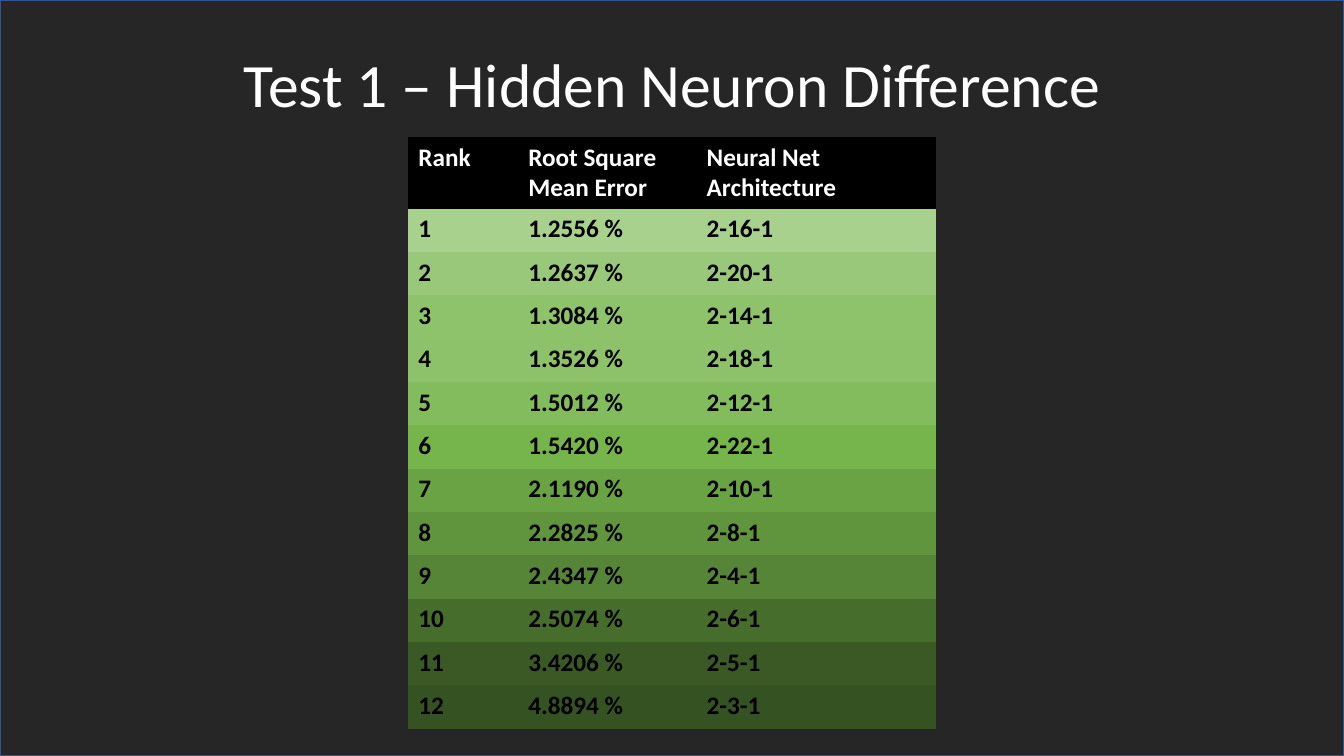
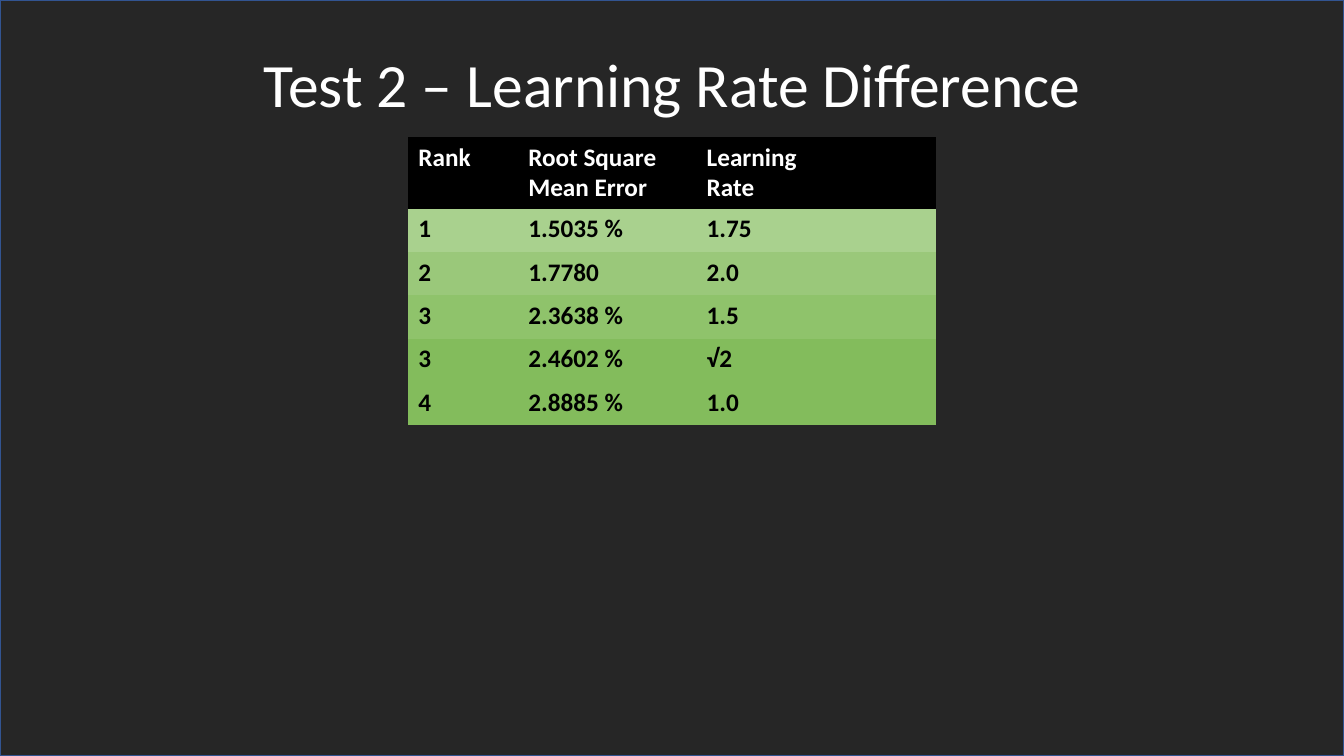
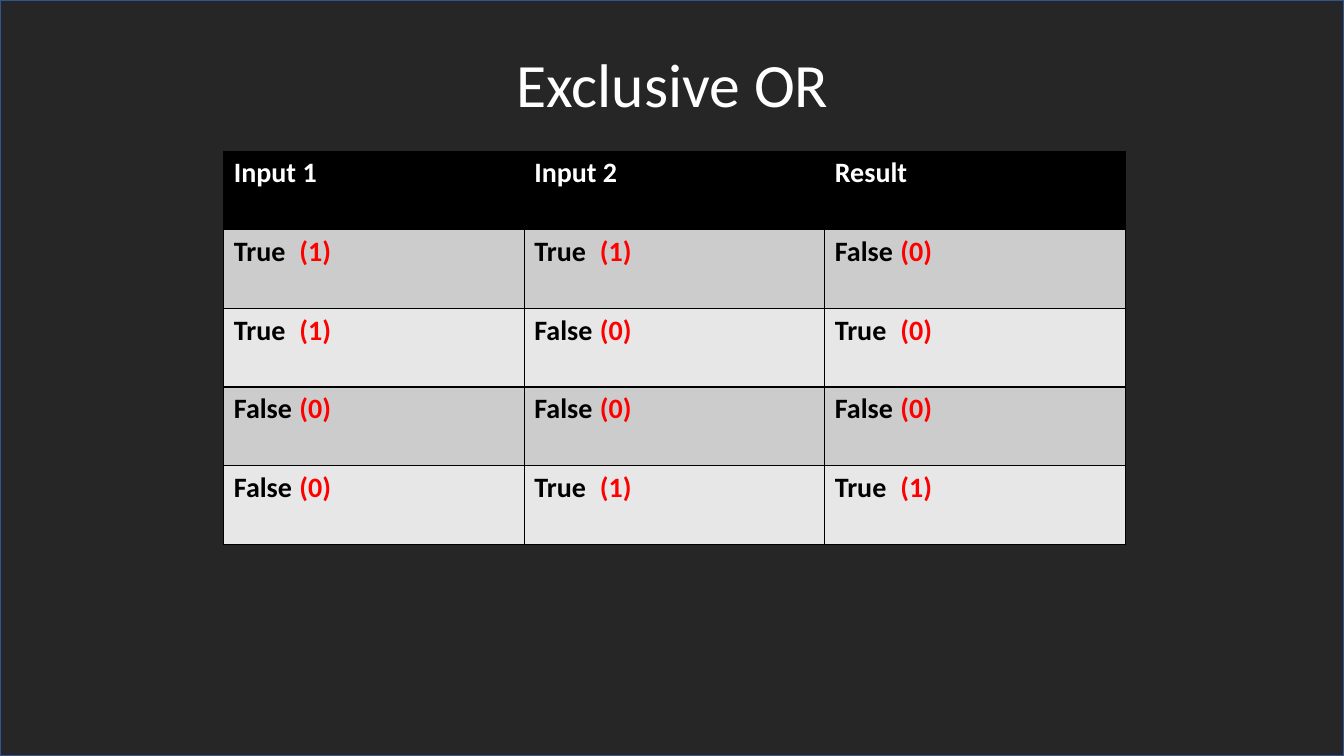
from lxml.etree import SubElement
from pptx import Presentation
from pptx.dml.color import RGBColor
from pptx.enum.shapes import MSO_SHAPE
from pptx.enum.text import MSO_ANCHOR, PP_ALIGN
from pptx.oxml.ns import qn
from pptx.util import Inches, Pt

FONT = "Calibri"
BLACK = RGBColor(0x00, 0x00, 0x00)
WHITE = RGBColor(0xFF, 0xFF, 0xFF)
RED = RGBColor(0xFF, 0x00, 0x00)
CHARCOAL = RGBColor(0x26, 0x26, 0x26)
EDGE_BLUE = RGBColor(0x32, 0x54, 0x91)
BANDS = [RGBColor(0xCC, 0xCC, 0xCC), RGBColor(0xE7, 0xE7, 0xE7)]
GREENS = [RGBColor.from_string(c) for c in (
    "A9D18E", "9AC87A", "8FC36B", "8EC26A", "83BC5C", "76B54B",
    "6AA343", "61953D", "578537", "476D2D", "3A5925", "355222")]

NO_STYLE = "{2D5ABB26-0587-4C30-8999-92F81FD0307C}"
SLIDE_W, SLIDE_H = 13.33, 7.5
TITLE_BOX = (0.92, 0.14, 11.5, 1.45)
RANK_AT = (4.05, 1.36)
RANK_COLS = (1.09, 1.77, 2.37)
RANK_HEAD_H, RANK_ROW_H = 0.71, 0.43
TRUTH_BOX = (2.22, 1.5, 8.94, 3.9)
DIGIT_TAB = 0.65

prs = Presentation()
prs.slide_width, prs.slide_height = Inches(SLIDE_W), Inches(SLIDE_H)


def style_run(r, size, color, bold=False):
    r.font.name, r.font.size, r.font.bold = FONT, Pt(size), bold
    r.font.color.rgb = color


def base_slide(title):
    """Dark backdrop and centred title, shared by every slide."""
    slide = prs.slides.add_slide(prs.slide_layouts[6])
    sp = slide.shapes.add_shape(MSO_SHAPE.RECTANGLE, 0, 0,
                                prs.slide_width, prs.slide_height)
    sp.shadow.inherit = False
    sp.fill.solid()
    sp.fill.fore_color.rgb = CHARCOAL
    sp.line.color.rgb = EDGE_BLUE
    sp.line.width = Pt(1)

    tf = slide.shapes.add_textbox(*map(Inches, TITLE_BOX)).text_frame
    tf.word_wrap = True
    tf.vertical_anchor = MSO_ANCHOR.MIDDLE
    p = tf.paragraphs[0]
    p.text = title
    p.alignment, p.line_spacing = PP_ALIGN.CENTER, 0.9
    style_run(p.runs[0], 44, WHITE)
    return slide


def add_grid(slide, left, top, cols, heights):
    """Plain table without a built-in style."""
    box = map(Inches, (left, top, sum(cols), sum(heights)))
    table = slide.shapes.add_table(len(heights), len(cols), *box).table
    table.horz_banding = False
    table._tbl.tblPr.find(qn("a:tableStyleId")).text = NO_STYLE
    for column, width in zip(table.columns, cols):
        column.width = Inches(width)
    for row, height in zip(table.rows, heights):
        row.height = Inches(height)
    return table


def outline(cell):
    tcPr = cell._tc.get_or_add_tcPr()
    for side in ("a:lnL", "a:lnR", "a:lnT", "a:lnB"):
        ln = SubElement(tcPr, qn(side), w=str(Pt(1)))
        fill = SubElement(ln, qn("a:solidFill"))
        SubElement(fill, qn("a:srgbClr"), val=str(BLACK))


def fill_row(row, texts, size, color, fill, border=False):
    for cell, text in zip(row.cells, texts):
        if border:  # borders precede the fill in the cell properties
            outline(cell)
        cell.fill.solid()
        cell.fill.fore_color.rgb = fill
        cell.text_frame.text = text
        for p in cell.text_frame.paragraphs:
            for r in p.runs:
                style_run(r, size, color, bold=True)


def ranking_slide(title, header, results, fills):
    """Results table, best at the top, with one green per row."""
    heights = [RANK_HEAD_H] + [RANK_ROW_H] * len(results)
    table = add_grid(base_slide(title), *RANK_AT, RANK_COLS, heights)
    head, *body = table.rows
    fill_row(head, header, 18, WHITE, BLACK)
    for row, texts, fill in zip(body, results, fills):
        fill_row(row, texts, 18, BLACK, fill)


def add_digit(cell, digit):
    """Red digit after the word, lined up on a tab stop."""
    p = cell.text_frame.paragraphs[0]
    tabs = SubElement(p._p.get_or_add_pPr(), qn("a:tabLst"))
    SubElement(tabs, qn("a:tab"), pos=str(Inches(DIGIT_TAB)), algn="l")
    r = p.add_run()
    r.text = f"\t({digit})"
    style_run(r, 20, RED, bold=True)


def truth_slide(title, header, cases):
    """Outlined truth table with equal rows and columns."""
    left, top, width, height = TRUTH_BOX
    n_cols, n_rows = len(header), len(cases) + 1
    table = add_grid(base_slide(title), left, top,
                     [width / n_cols] * n_cols, [height / n_rows] * n_rows)
    head, *body = table.rows
    fill_row(head, header, 20, WHITE, BLACK, border=True)
    for i, (row, case) in enumerate(zip(body, cases)):
        words = [word for word, _ in case]
        fill_row(row, words, 20, BLACK, BANDS[i % 2], border=True)
        for cell, (_, digit) in zip(row.cells, case):
            add_digit(cell, digit)


# Hidden neurons
ranking_slide(
    "Test 1 – Hidden Neuron Difference",
    ["Rank", "Root Square Mean Error", "Neural Net Architecture"],
    [("1", "1.2556 %", "2-16-1"), ("2", "1.2637 %", "2-20-1"),
     ("3", "1.3084 %", "2-14-1"), ("4", "1.3526 %", "2-18-1"),
     ("5", "1.5012 %", "2-12-1"), ("6", "1.5420 %", "2-22-1"),
     ("7", "2.1190 %", "2-10-1"), ("8", "2.2825 %", "2-8-1"),
     ("9", "2.4347 %", "2-4-1"), ("10", "2.5074 %", "2-6-1"),
     ("11", "3.4206 %", "2-5-1"), ("12", "4.8894 %", "2-3-1")],
    GREENS)

# Learning rate
ranking_slide(
    "Test 2 – Learning Rate Difference",
    ["Rank", "Root Square Mean Error", "Learning\nRate"],
    [("1", "1.5035 %", "1.75"), ("2", "1.7780", "2.0"),
     ("3", "2.3638 %", "1.5"), ("3", "2.4602 %", "√2"),
     ("4", "2.8885 %", "1.0")],
    GREENS[:3] + [GREENS[4]] * 2)

# Exclusive OR
TRUE, FALSE = ("True", 1), ("False", 0)
truth_slide(
    "Exclusive OR",
    ["Input 1", "Input 2", "Result"],
    [(TRUE, TRUE, FALSE), (TRUE, FALSE, ("True", 0)),
     (FALSE, FALSE, FALSE), (FALSE, TRUE, TRUE)])

prs.save("out.pptx")
